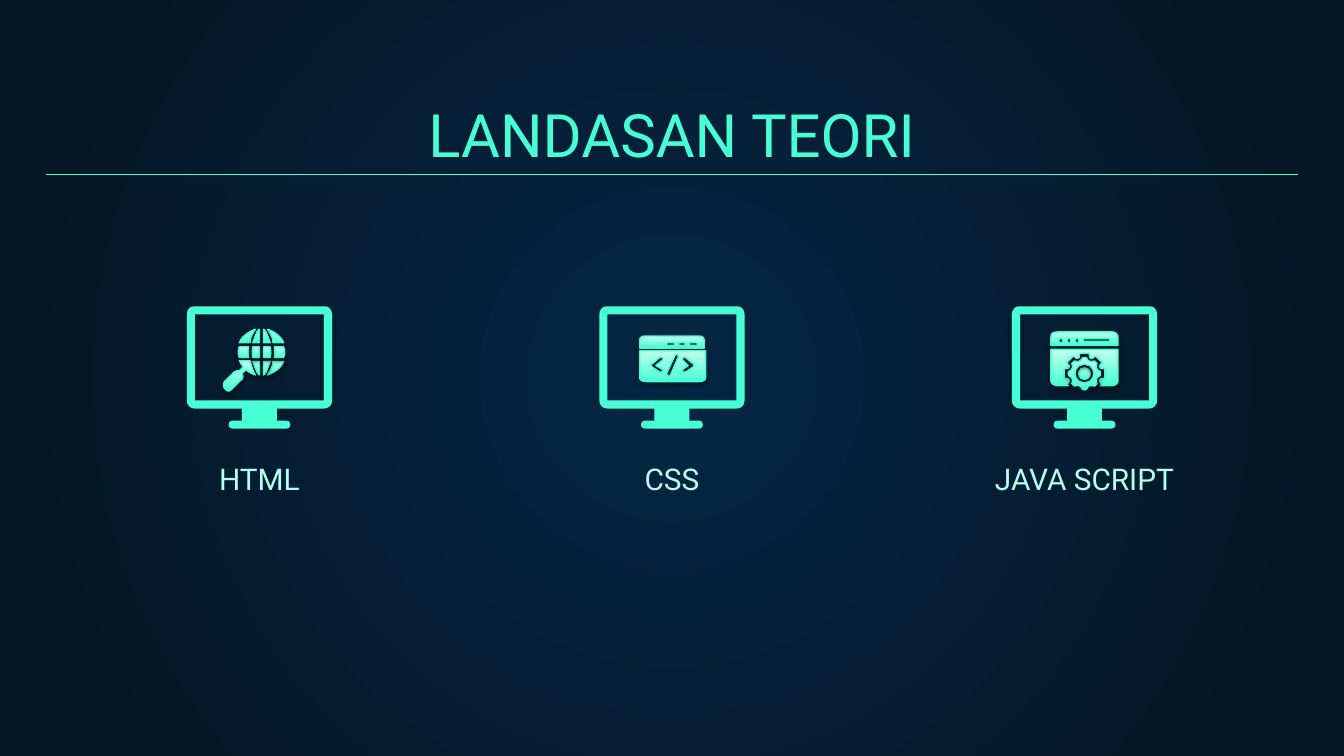
import math
import pptx
import pptx.util
import pptx.dml.color
import pptx.enum.shapes
import pptx.enum.text
import pptx.oxml
import pptx.oxml.ns
from pptx.util import Pt

MINT, PALE, EDGE, GLOW = "48FFD5", "B6FFEE", "42FED3", "C1FFEB"
FONT = "Roboto"
UNIT = 0.72          # points per drawing unit
MONITOR_TOP = 164.16
PITCH = 221
LABEL_W = 163.44


def pill(x0, x1, y0, y1):
    """Bar with round ends; a circle when it is as wide as high."""
    r = (y1 - y0) / 2
    a, b, c, d = x0 + r, x1 - r, x1 + r / 3, x0 - r / 3
    return f"M {a} {y0} L {b} {y0} C {c} {y0} {c} {y1} {b} {y1} L {a} {y1} C {d} {y1} {d} {y0} {a} {y0} Z "


def gear(cy, tip, root, tip_half, root_half):
    """Corners of an eight-tooth gear, clockwise from the bottom."""
    corners = ((root, -root_half), (tip, -tip_half), (tip, tip_half), (root, root_half))
    return [(r * math.sin(math.radians(180 + 45 * k + a)),
             cy - r * math.cos(math.radians(180 + 45 * k + a)))
            for k in range(8) for r, a in corners]


def lines(points):
    return " ".join(f"L {x:.2f} {y:.2f}" for x, y in points)


# Content: outlines around each icon's own centre line
MONITOR = ("M 48 6 L 48 70 L -48 70 L -48 6 Z "
           "M -49 0 C -52 0 -54 3 -54 6 L -54 70 C -54 74 -51 76 -48 76 L -13 76 L -13 85 "
           "L -20 85 C -24 85 -24 91 -20 91 L 20 91 C 24 91 24 85 20 85 L 13 85 L 13 76 "
           "L 48 76 C 51 76 54 74 54 70 L 54 6 C 54 3 52 0 49 0 Z")

ONCE, SIDES = [(1, 1)], [(1, 1), (-1, 1)]
GLOBE = [
    ("M -4.5 -17 C -9.5 -15 -14.5 -12 -16.5 -7 L -8.5 -7 C -8.5 -11 -6.5 -14 -4.5 -17 Z",
     SIDES + [(-1, -1)]),
    ("M -1.5 -17 C -3.5 -16 -4.5 -12 -6.5 -7 L -1.5 -7 Z", SIDES + [(1, -1), (-1, -1)]),
    ("M -16.5 -4 C -17.5 -1 -17.5 1 -16.5 4 L -9.5 4 C -10 1 -10 -1 -9.5 -4 Z", SIDES),
    ("M -6.5 -4 C -7 -1 -7 1 -6.5 4 L -1.5 4 L -1.5 -4 Z", SIDES),
    ("M -16.5 6.5 C -15.5 8 -14.5 10 -13.5 11 L -16.5 14 C -17.5 14 -19.5 14 -20.5 15 "
     "L -27.5 22 C -28.5 23 -28.5 26 -27.5 27 C -26.5 28 -25.5 29 -24.5 29 "
     "C -23.5 29 -22.5 28 -21.5 27 L -15.5 21 C -13.5 20 -13.5 18 -14.5 16 L -11.5 13 "
     "C -9.5 15 -7.5 16 -4.5 17 C -6.5 14 -7.5 10 -8.5 6.5 Z", ONCE),
]

CODE_WINDOW = [
    (pill(-4, 2, 5, 7) + pill(5, 10, 5, 7) + pill(13, 19, 5, 7)
     + "M -20 0 C -22 0 -24 1 -24 3 L -24 9 L 24 9 L 24 3 C 24 1 22 0 20 0 Z", ONCE),
    ("M -8 16 C -7 16 -6.5 17 -7 18 L -12 22 L -7 25 C -6.5 26 -7 27 -8 27 L -9 27 "
     "L -15 23 C -15.5 22 -15.5 22 -15 21 L -9 16 Z "
     "M 9 16 C 8 16 7.5 17 8 18 L 12 22 L 8 25 C 7.5 26 8 27 9 27 L 10 27 "
     "L 16 23 C 16.5 22 16.5 22 16 21 L 10 16 Z "
     "M 3 14 L 4 14 L 5 15 L -1 29 L -2 30 L -3 30 L -4 28 L 2 15 Z "
     "M -24 11 L -24 31 C -24 33 -22 34 -19 34 L 20 34 C 23 34 25 33 25 31 L 25 11 Z", ONCE),
]

notch = [pt for pt in gear(31, 15.5, 12.5, 13, 18) if pt[1] <= 40]
GEAR_WINDOW = [
    ("".join(pill(x, x + 3, 5, 8) for x in (-19, -13, -7)) + pill(-1, 19, 5, 7)
     + "M -20 0 C -23 0 -25 1 -25 4 L -25 10 L 25 10 L 25 4 C 25 2 23 0 21 0 Z", ONCE),
    (f"M -25 13 L -25 36 C -25 38 -23 40 -20 40 L -12 40 {lines(notch)} L 12 40 L 21 40 "
     "C 23 40 25 38 25 36 L 25 13 Z", ONCE),
    (pill(-4.3, 4.3, 26.7, 35.3), ONCE),
    (pill(-7, 7, 24, 38) + "M" + lines(gear(31, 12, 10, 6, 17))[1:] + " Z", ONCE),
]

TOPICS = [  # label, icon outlines, icon offset from the monitor's top centre
    ("HTML", GLOBE, (1.5, 34)),
    ("CSS", CODE_WINDOW, (0, 22)),
    ("JAVA SCRIPT", GEAR_WINDOW, (0, 19)),
]


def rgb(hex_color):
    return pptx.dml.color.RGBColor.from_string(hex_color)


def add_xml(parent, xml, index=None):
    el = pptx.oxml.parse_xml(xml.replace(">", f' {pptx.oxml.ns.nsdecls("a")}>', 1))
    parent.insert(len(parent) if index is None else index, el)


def set_gradient(fill, *colors):
    fill.gradient()
    for stop, color in zip(fill.gradient_stops, colors):
        stop.color.rgb = rgb(color)


def contours(path):
    """Turn M/L/C/Z commands into lists of points, with curves sampled."""
    out, tokens = [], iter(path.split())
    for cmd in tokens:
        if cmd == "Z":
            continue
        pts = [(float(next(tokens)), float(next(tokens))) for _ in range(3 if cmd == "C" else 1)]
        if cmd == "M":
            out.append(pts)
        elif cmd == "L":
            out[-1] += pts
        else:
            curve = [out[-1][-1]] + pts
            for t in (k / 6 for k in range(1, 7)):
                weights = ((1 - t) ** 3, 3 * t * (1 - t) ** 2, 3 * t * t * (1 - t), t ** 3)
                out[-1].append(tuple(sum(w * q[i] for w, q in zip(weights, curve)) for i in (0, 1)))
    return out


def draw(shapes, path, x, y, flip=(1, 1)):
    builder = None
    for pts in contours(path):
        pts = [(Pt(x + flip[0] * px * UNIT), Pt(y + flip[1] * py * UNIT)) for px, py in pts]
        if builder is None:
            builder = shapes.build_freeform(*pts[0], scale=1.0)
        else:
            builder.move_to(*pts[0])
        builder.add_line_segments(pts[1:], close=True)
    shape = builder.convert_to_shape()
    shape.shadow.inherit = False
    return shape


def set_text(sp, text, size, color):
    tf = sp.text_frame
    frame = dict(word_wrap=True, auto_size=pptx.enum.text.MSO_AUTO_SIZE.NONE,
                 vertical_anchor=pptx.enum.text.MSO_ANCHOR.BOTTOM, margin_left=Pt(7.2),
                 margin_right=Pt(7.2), margin_top=Pt(7.2), margin_bottom=Pt(7.2))
    for name, value in frame.items():
        setattr(tf, name, value)
    p = tf.paragraphs[0]
    p.alignment = pptx.enum.text.PP_ALIGN.CENTER
    r = p.add_run()
    r.text = text
    for name, value in dict(name=FONT, size=Pt(size), bold=False).items():
        setattr(r.font, name, value)
    r.font.color.rgb = rgb(color)
    return r


prs = pptx.Presentation()
prs.slide_width, prs.slide_height = Pt(720), Pt(405)
s = prs.slides.add_slide(prs.slide_layouts[5])

# Background: glow from the centre
set_gradient(s.background.fill, "052643", "041523")
grad = s.element.find(".//" + pptx.oxml.ns.qn("a:gradFill"))
grad.remove(grad.find(pptx.oxml.ns.qn("a:lin")))
add_xml(grad, '<a:path path="circle"><a:fillToRect l="50000" t="50000" r="50000" b="50000"/></a:path>')

# Title and rule
title = s.shapes.title
for name, value in dict(left=24.5, top=50.4, width=671, height=47.5).items():
    setattr(title, name, Pt(value))
set_text(title, "LANDASAN TEORI", 32, MINT)
rule = s.shapes.add_connector(pptx.enum.shapes.MSO_CONNECTOR.STRAIGHT,
                              Pt(24.5), Pt(93.6), Pt(695.5), Pt(93.6))
rule.line.color.rgb, rule.line.width = rgb(MINT), Pt(0.75)
add_xml(rule._element.spPr, "<a:effectLst></a:effectLst>")

# Topics: monitor, icon, label
for i, (label, icon, (dx, dy)) in enumerate(TOPICS):
    cx = 360 + PITCH * (i - 1)
    monitor = draw(s.shapes, MONITOR, cx, MONITOR_TOP)
    monitor.fill.solid()
    monitor.fill.fore_color.rgb = rgb(MINT)
    monitor.line.fill.background()

    group = s.shapes.add_group_shape()
    for path, flips in icon:
        for flip in flips:
            part = draw(group.shapes, path, cx + dx * UNIT, MONITOR_TOP + dy * UNIT, flip)
            set_gradient(part.fill, MINT, GLOW)
            part.fill.gradient_angle = 90
            part.line.color.rgb, part.line.width = rgb(EDGE), Pt(0.75)
            effects = part._element.spPr.find(pptx.oxml.ns.qn("a:effectLst"))
            add_xml(effects, f'<a:outerShdw blurRad="{Pt(3.1)}" dist="{Pt(1.8)}" dir="5400000">'
                    '<a:srgbClr val="000000"><a:alpha val="35000"/></a:srgbClr></a:outerShdw>')

    box = s.shapes.add_textbox(Pt(cx - LABEL_W / 2), Pt(257.8), Pt(LABEL_W), Pt(15.1))
    r = set_text(box, label, 16, PALE)
    add_xml(r.font._element if hasattr(r.font, "_element") else r._r.get_or_add_rPr(),
            f'<a:ln w="{Pt(1.75)}"><a:solidFill><a:srgbClr val="{MINT}"/></a:solidFill></a:ln>', 0)

prs.save("out.pptx")
